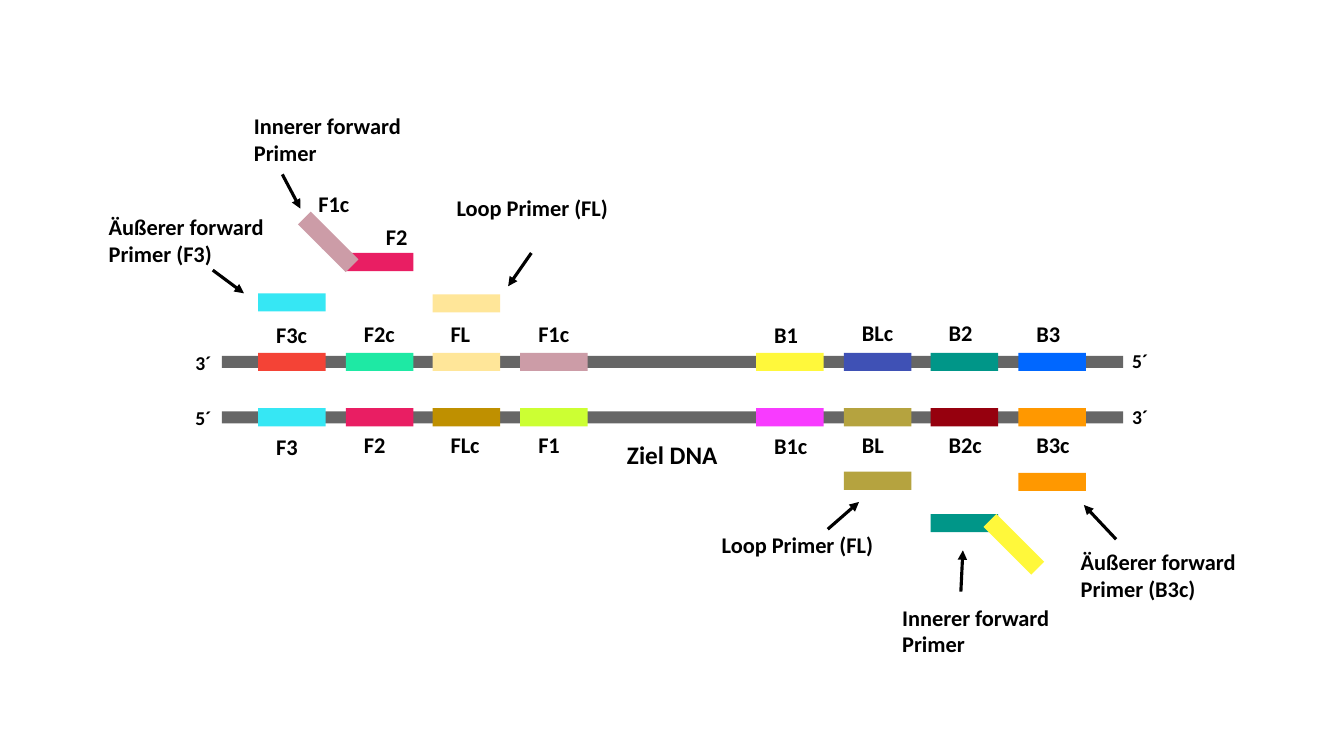
from lxml.etree import SubElement
from pptx import Presentation
from pptx.dml.color import RGBColor as Rgb
from pptx.enum.shapes import MSO_CONNECTOR as Link, MSO_SHAPE as Kind
from pptx.enum.text import MSO_AUTO_SIZE as Fit
from pptx.oxml.ns import qn
from pptx.util import Pt

SCALE = 9144
FONT = "Calibri"
BLACK = Rgb(0x00, 0x00, 0x00)
GREY = Rgb(0x66, 0x66, 0x66)
RED = Rgb(0xF4, 0x43, 0x36)
CYAN = Rgb(0x36, 0xE7, 0xF4)
MINT = Rgb(0x1E, 0xE9, 0xA4)
PINK = Rgb(0xE9, 0x1E, 0x63)
BROWN = Rgb(0xBF, 0x90, 0x00)
CREAM = Rgb(0xFF, 0xE6, 0x99)
ROSE = Rgb(0xCC, 0x9C, 0xA7)
LIME = Rgb(0xCC, 0xFF, 0x33)
YELLOW = Rgb(0xFF, 0xF8, 0x3B)
VIOLET = Rgb(0xF8, 0x3B, 0xFF)
INDIGO = Rgb(0x3F, 0x51, 0xB5)
OLIVE = Rgb(0xB5, 0xA3, 0x3F)
TEAL = Rgb(0x00, 0x96, 0x88)
MAROON = Rgb(0x96, 0x00, 0x0E)
BLUE = Rgb(0x00, 0x67, 0xFF)
ORANGE = Rgb(0xFF, 0x98, 0x00)

GLYPHS = {"F": 10, "B": 13, "L": 9, "c": 9}
SITES = [
    (RED, "F3c", 314, CYAN, "F3", 425),
    (MINT, "F2c", 313, PINK, "F2", 423),
    (CREAM, "FL", 313, BROWN, "FLc", 423),
    (ROSE, "F1c", 313, LIME, "F1", 423),
    (YELLOW, "B1", 314, VIOLET, "B1c", 424),
    (INDIGO, "BLc", 312, OLIVE, "BL", 423),
    (TEAL, "B2", 312, MAROON, "B2c", 423),
    (BLUE, "B3", 313, ORANGE, "B3c", 423),
]
COLS = [start + round(i * 260 / 3) for start in (256, 750) for i in range(4)]
ENDS = [("3´", 184, 343), ("3´", 1113, 397), ("5´", 1113, 341), ("5´", 184, 398)]
PRIMERS = [
    (COLS[1], 251, PINK, 0),
    (292, 231, ROSE, 45),
    (COLS[0], 291, CYAN, 0),
    (COLS[2], 292, CREAM, 0),
    (COLS[6], 510, TEAL, 0),
    (972, 531, YELLOW, 45),
    (COLS[7], 469, ORANGE, 0),
    (COLS[5], 468, OLIVE, 0),
]
NOTES = [
    ("Innerer forward Primer", 242, 106, 64),
    ("Äußerer forward Primer (F3)", 98, 207, 64),
    ("Loop Primer (FL)", 443, 188, 37),
    ("Loop Primer (FL)", 706, 522, 37),
    ("Innerer forward Primer", 885, 594, 64),
    ("Äußerer forward Primer (B3c)", 1062, 539, 64),
]
ARROWS = [
    (280, 173, 298, 207),
    (211, 268, 242, 291),
    (527, 251, 504, 284),
    (821, 525, 852, 498),
    (953, 587, 955, 546),
    (1107, 535, 1075, 501),
]


def px(*sizes):
    return [size * SCALE for size in sizes]


def put(frame, words, size=16, bold=True, color=BLACK):
    run = frame.paragraphs[0].add_run()
    run.text = words
    run.font.name = FONT
    run.font.size = Pt(size)
    run.font.bold = bold
    run.font.color.rgb = color


class Board:
    def __init__(self, slide):
        self.shapes = slide.shapes

    def bar(self, x, y, fill, w=67, h=18, turn=0):
        bar = self.shapes.add_shape(Kind.RECTANGLE, *px(x, y, w, h))
        bar.shadow.inherit = False
        bar.fill.solid()
        bar.fill.fore_color.rgb = fill
        bar.line.fill.background()
        bar.rotation = turn

    def text(self, words, x, y, w, h=37, wrap=False, **style):
        frame = self.shapes.add_textbox(*px(x, y, w, h)).text_frame
        frame.word_wrap = wrap
        frame.auto_size = Fit.SHAPE_TO_FIT_TEXT
        put(frame, words, **style)

    def label(self, words, x, y):
        self.text(words, x, y, 21 + sum(GLYPHS.get(c, 11) for c in words))

    def arrow(self, *ends):
        link = self.shapes.add_connector(Link.STRAIGHT, *px(*ends))
        link.line.color.rgb = BLACK
        link.line.width = Pt(2.25)
        SubElement(link.line._get_or_add_ln(), qn("a:tailEnd"), type="triangle")
        SubElement(link._element.spPr, qn("a:effectLst"))


def main():
    deck = Presentation()
    deck.slide_width, deck.slide_height = px(1333, 750)
    board = Board(deck.slides.add_slide(deck.slide_layouts[6]))

    for y in (353, 408):
        board.bar(220, y, GREY, w=894, h=12)
    for words, x, y in ENDS:
        board.text(words, x, y, 36, 34, size=14)
    for x, (top, name, high, base, mate, low) in zip(COLS, SITES):
        board.bar(x, 350, top)
        board.bar(x, 405, base)
        board.label(name, x + 8, high)
        board.label(mate, x + 8, low)
    board.text("Ziel DNA", 612, 431, 111, 40, size=18)

    for x, y, fill, turn in PRIMERS:
        board.bar(x, y, fill, turn=turn)
    board.label("F2", 373, 216)
    board.label("F1c", 306, 184)
    for words, x, y, h in NOTES:
        board.text(words, x, y, 187, h, wrap=True)
    for ends in ARROWS:
        board.arrow(*ends)

    deck.save("out.pptx")


if __name__ == "__main__":
    main()
